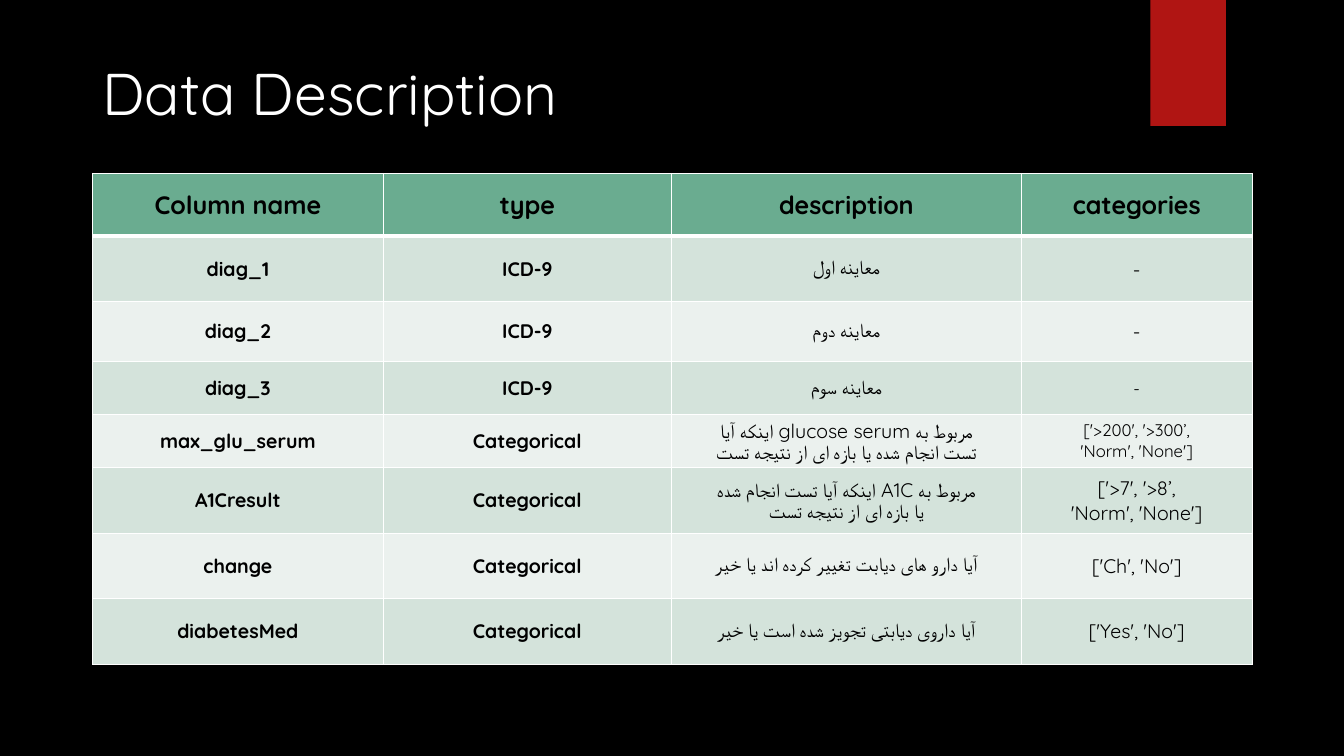
from lxml import etree
from pptx import Presentation
from pptx.dml.color import RGBColor
from pptx.enum.shapes import MSO_SHAPE
from pptx.enum.text import MSO_ANCHOR, PP_ALIGN
from pptx.oxml.ns import qn
from pptx.util import Inches, Pt

RECTANGLE = MSO_SHAPE.RECTANGLE
CENTER = PP_ALIGN.CENTER
MIDDLE = MSO_ANCHOR.MIDDLE

# Content
TITLE = "Data Description"
HEADER = ("Column name", "type", "description", "categories")
COLUMNS = [
    ("diag_1", "ICD-9", "معاینه اول", "-"),
    ("diag_2", "ICD-9", "معاینه دوم", "-"),
    ("diag_3", "ICD-9", "معاینه سوم", "-"),
    ("max_glu_serum", "Categorical",
     "مربوط به glucose serum اینکه آیا\nتست انجام شده یا بازه ای از نتیجه تست",
     "['>200', '>300’,\n'Norm', 'None']"),
    ("A1Cresult", "Categorical",
     "مربوط به A1C اینکه آیا تست انجام شده\nیا بازه ای از نتیجه تست",
     "['>7', '>8’,\n'Norm', 'None']"),
    ("change", "Categorical", "آیا دارو های دیابت تغییر کرده اند یا خیر", "['Ch', 'No']"),
    ("diabetesMed", "Categorical", "آیا داروی دیابتی تجویز شده است یا خیر", "['Yes', 'No']"),
]
SMALL_CATEGORIES = ("diag_3", "max_glu_serum")

# Layout and style
COL_WIDTHS = (2.88, 2.86, 3.47, 2.29)
ROW_HEIGHTS = (0.62, 0.65, 0.6, 0.52, 0.53, 0.65, 0.65, 0.65)
DESCRIPTION, CATEGORIES = 2, 3
FONT = "Quicksand"
BLACK, WHITE, RED = "000000", "FFFFFF", "B01513"
HEADER_FILL, BANDS = "6AAC90", ("EBF1EE", "D4E3DB")


def paint(fill, color):
    fill.solid()
    fill.fore_color.rgb = RGBColor.from_string(color)


def style_runs(paragraph, size, color, bold=False):
    for run in paragraph.runs:
        run.font.name = FONT
        run.font.size = Pt(size)
        run.font.bold = bold
        paint(run.font.fill, color)


def add_borders(cell, widths):
    """Borders come before the fill in the cell properties."""
    properties = cell._tc.get_or_add_tcPr()
    for position, (side, width) in enumerate(widths.items()):
        line = etree.Element(qn(f"a:ln{side}"), w=str(Pt(width)))
        solid = etree.SubElement(line, qn("a:solidFill"))
        etree.SubElement(solid, qn("a:srgbClr"), val=WHITE)
        properties.insert(position, line)


def fill_cell(cell, text, row, col):
    is_header = row == 0
    cell.text_frame.text = text
    cell.vertical_anchor = MIDDLE
    cell.margin_top = cell.margin_bottom = Inches(0.02)
    paint(cell.fill, HEADER_FILL if is_header else BANDS[row % 2])
    add_borders(cell, {"L": 1, "R": 1, "T": 3 if row == 1 else 1, "B": 3 if is_header else 1})

    small = col == CATEGORIES and not is_header and COLUMNS[row - 1][0] in SMALL_CATEGORIES
    size = 18 if is_header else 12 if small else 14
    for paragraph in cell.text_frame.paragraphs:
        paragraph.alignment = CENTER
        style_runs(paragraph, size, BLACK, bold=is_header or col < DESCRIPTION)
        if col == DESCRIPTION and "\n" in text:
            paragraph._p.get_or_add_pPr().set("rtl", "1")


prs = Presentation()
prs.slide_width, prs.slide_height = Inches(13.33), Inches(7.5)
slide = prs.slides.add_slide(prs.slide_layouts[6])
paint(slide.background.fill, BLACK)

# Red tab at the top edge
tab = slide.shapes.add_shape(RECTANGLE, Inches(11.41), 0, Inches(0.75), Inches(1.25))
paint(tab.fill, RED)
tab.line.fill.background()
tab.shadow.inherit = False

# Column table
table = slide.shapes.add_table(
    len(ROW_HEIGHTS), len(COL_WIDTHS), Inches(0.92), Inches(1.72),
    Inches(sum(COL_WIDTHS)), Inches(sum(ROW_HEIGHTS))).table
for column, width in zip(table.columns, COL_WIDTHS):
    column.width = Inches(width)
for table_row, height in zip(table.rows, ROW_HEIGHTS):
    table_row.height = Inches(height)
for row, texts in enumerate([HEADER] + COLUMNS):
    for col, text in enumerate(texts):
        fill_cell(table.cell(row, col), text, row, col)

# Title
title = slide.shapes.add_textbox(Inches(0.92), Inches(0.48), Inches(4.98), Inches(0.86)).text_frame
title.word_wrap = True
title.vertical_anchor = MIDDLE
title.text = TITLE
style_runs(title.paragraphs[0], 42, WHITE)

prs.save("out.pptx")
